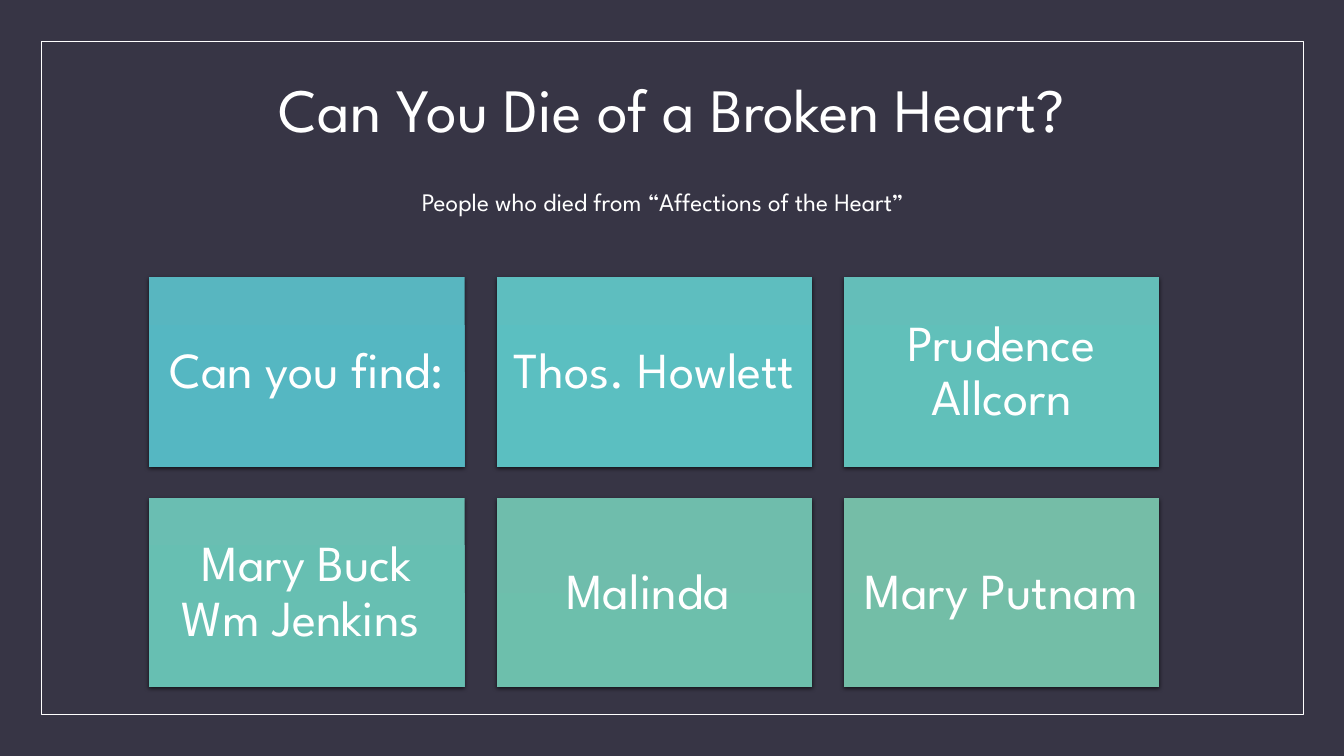
from copy import deepcopy

from lxml.etree import SubElement
from pptx import Presentation
from pptx.dml.color import RGBColor
from pptx.enum.shapes import MSO_SHAPE
from pptx.enum.text import MSO_ANCHOR, PP_ALIGN
from pptx.oxml.ns import qn
from pptx.util import Inches, Pt

# Content
TITLE = "Can You Die of a Broken Heart?"
SUBTITLE = "People who died from “Affections of the Heart”"
CARDS = [  # text, gradient colours from top to bottom
    ("Can you find:", ("58B6C0", "55B7C2", "55B6C1")),
    ("Thos. Howlett", ("5EBEBF", "5BBFC1", "5BBEC0")),
    ("Prudence Allcorn", ("64BEB9", "61C0BA", "61BFB9")),
    ("Mary Buck Wm Jenkins ", ("6ABEB2", "67BFB2", "67BEB2")),
    ("Malinda ", ("6FBDAC", "6DBFAC", "6CBEAB")),
    ("Mary Putnam", ("75BDA7", "73BEA7", "72BDA6")),
]

FONT = "League Spartan"
WHITE = RGBColor(0xFF, 0xFF, 0xFF)
BACKGROUND = RGBColor(0x37, 0x35, 0x45)

# Card grid, in inches
COLUMNS = 3
LEFT, TOP = 1.48, 2.75
CARD_W, CARD_H = 3.13, 1.88
STEP_X, STEP_Y = 3.445, 2.19


def write(tf, text, size, spacing=None):
    tf.word_wrap = True
    p = tf.paragraphs[0]
    p.text = text
    p.alignment = PP_ALIGN.CENTER
    p.line_spacing = spacing
    p.font.name, p.font.size, p.font.color.rgb = FONT, Pt(size), WHITE


def fill_gradient(shape, colours):
    shape.fill.gradient()
    shape.fill.gradient_angle = 270
    stops = shape._element.spPr.find(qn("a:gradFill")).find(qn("a:gsLst"))
    stops.insert(1, deepcopy(stops[0]))
    for stop, position, colour in zip(shape.fill.gradient_stops, (0, 0.5, 1), colours):
        stop.position = position
        stop.color.rgb = RGBColor.from_string(colour)


def add_shadow(shape):
    shape.shadow.inherit = False
    effects = shape._element.spPr.find(qn("a:effectLst"))
    shadow = SubElement(effects, qn("a:outerShdw"), blurRad=str(Pt(3)),
                        dist=str(Pt(1)), dir="5400000", algn="ctr", rotWithShape="0")
    colour = SubElement(shadow, qn("a:srgbClr"), val="000000")
    SubElement(colour, qn("a:alpha"), val="63000")


prs = Presentation()
prs.slide_width, prs.slide_height = Inches(13.33), Inches(7.5)
s = prs.slides.add_slide(prs.slide_layouts[5])
s.background.fill.solid()
s.background.fill.fore_color.rgb = BACKGROUND

# Frame, behind everything else
frame = s.shapes.add_shape(MSO_SHAPE.RECTANGLE, Inches(0.41), Inches(0.41),
                           Inches(12.52), Inches(6.68))
frame.fill.background()
frame.line.color.rgb = WHITE
frame.line.width = Pt(0.5)
frame.shadow.inherit = False

# Title and subtitle
title = s.shapes.title
title.left, title.top = Inches(1.17), Inches(0.7)
title.width, title.height = Inches(11), Inches(1.5)
tf = title.text_frame
tf.vertical_anchor = MSO_ANCHOR.MIDDLE
tf.margin_bottom = Inches(0.72)
write(tf, TITLE, 44, 0.9)

subtitle = s.shapes.add_textbox(Inches(2.6), Inches(1.8), Inches(7.95), Inches(0.4))
write(subtitle.text_frame, SUBTITLE, 18)

# Cards
for i, (text, colours) in enumerate(CARDS):
    row, column = divmod(i, COLUMNS)
    card = s.shapes.add_shape(MSO_SHAPE.RECTANGLE,
                              Inches(LEFT + column * STEP_X), Inches(TOP + row * STEP_Y),
                              Inches(CARD_W), Inches(CARD_H))
    fill_gradient(card, colours)
    card.line.fill.background()
    add_shadow(card)
    tf = card.text_frame
    tf.vertical_anchor = MSO_ANCHOR.MIDDLE
    tf.margin_left = tf.margin_right = Inches(0.15)
    tf.margin_top = tf.margin_bottom = Inches(0.15)
    write(tf, text, 36, 0.9)

prs.save("out.pptx")
